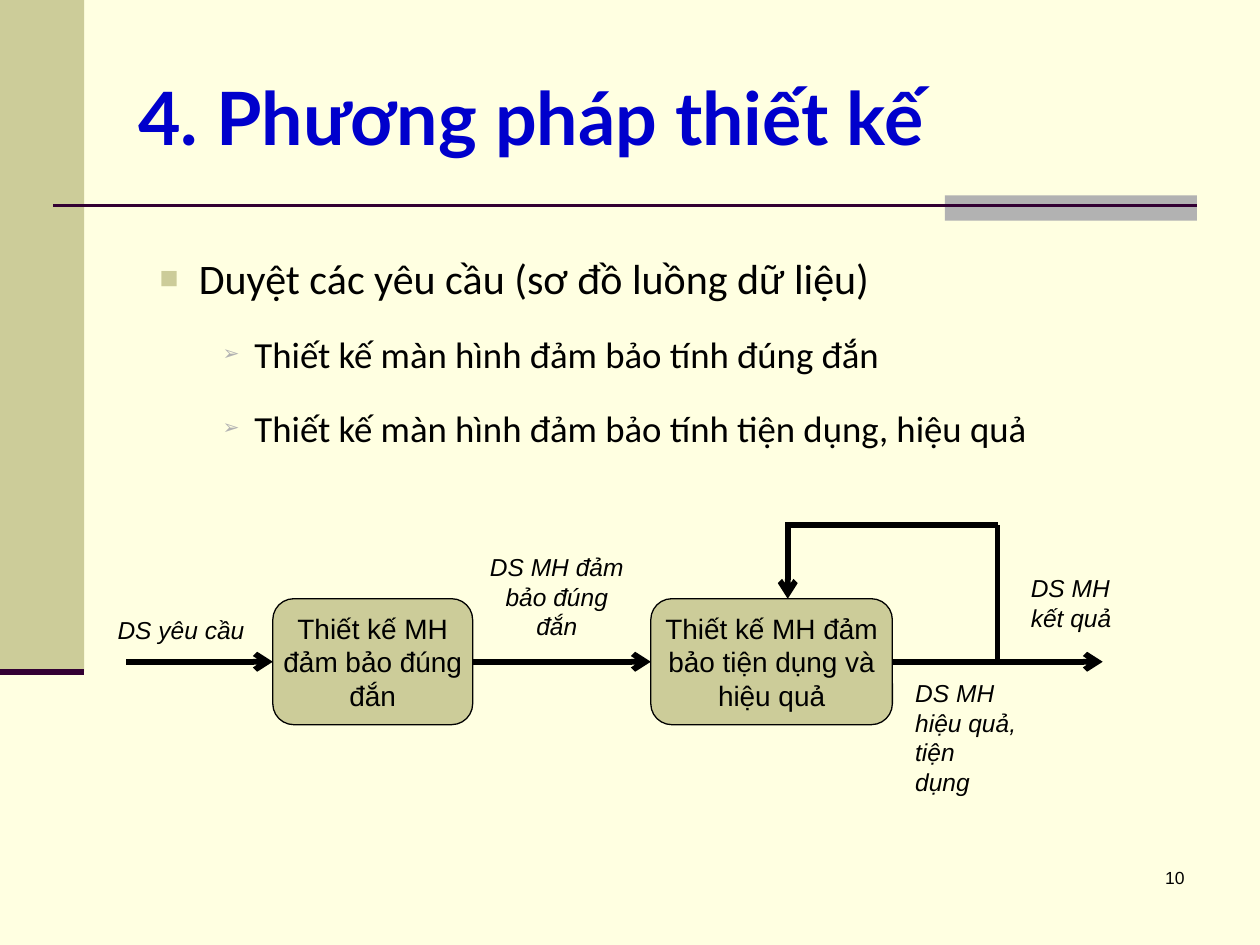
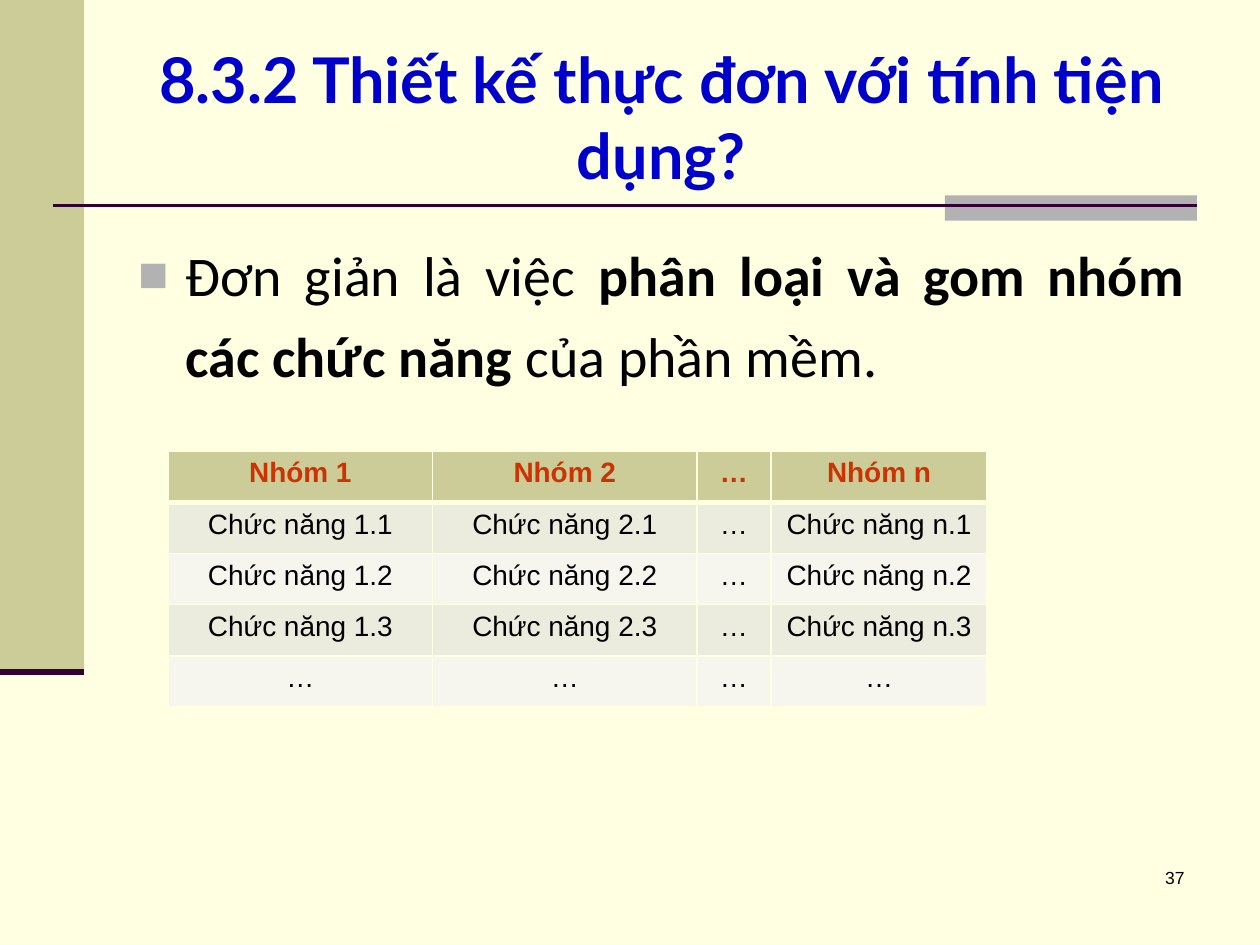
from dataclasses import dataclass, field
from typing import Any, NamedTuple

from lxml.etree import SubElement
from pptx import Presentation
from pptx.dml.color import RGBColor
from pptx.enum.shapes import MSO_CONNECTOR, MSO_SHAPE
from pptx.enum.text import MSO_ANCHOR, PP_ALIGN
from pptx.oxml.ns import qn
from pptx.util import Cm, Pt

CREAM, KHAKI, GREY, PLUM = "FFFFE1", "CCCC99", "B2B2B2", "330033"
BLACK, BLUE, RED = "000000", "0000CC", "CC3300"
BAND_FILLS = ("ECECDE", "F6F6EF")

FLOW_Y, LOOP_Y, STEP_TOP, STEP_HEIGHT = 13.34, 10.58, 12.07, 2.54
START_X, CHECK_X, CHECK_END = 2.54, 5.5, 9.53
USABLE_X, LOOP_X, USABLE_END, BRANCH_X, FINISH_X = 13.12, 15.88, 17.99, 20.11, 22.23


class Area(NamedTuple):
    """Place of an element in centimetres."""
    left: float
    top: float
    width: float
    height: float


class Route(NamedTuple):
    """Straight line between two points in centimetres."""
    x1: float
    y1: float
    x2: float
    y2: float
    arrow: bool = False
    color: str = BLACK
    weight: float = 3.25


class Bullet(NamedTuple):
    """Bullet sign with its colour, relative size and indents."""
    sign: str
    color: str
    percent: int
    margin: float
    hanging: float


@dataclass(frozen=True)
class Typeface:
    """Character format and colour."""
    name: str
    size: float
    color: str = BLACK
    bold: bool = False
    italic: bool = False

    def values(self) -> dict[str, Any]:
        """Return the font attributes."""
        return {"name": self.name, "size": Pt(self.size), "bold": self.bold, "italic": self.italic}


@dataclass(frozen=True)
class Passage:
    """Paragraph whose odd pieces are bold."""
    pieces: tuple[str, ...]
    typeface: Typeface
    layout: dict[str, Any] = field(default_factory=dict)
    bullet: Bullet | None = None


@dataclass(frozen=True)
class Step:
    """Rounded process step of the flow."""
    text: str
    area: Area


@dataclass(frozen=True)
class Label:
    """Name of a data flow."""
    text: str
    area: Area
    layout: dict[str, Any] = field(default_factory=dict)


TITLE_AREA = Area(2.54, 0.76, 21.59, 3.18)
NUMBER_AREA = Area(18.85, 17.35, 5.28, 1.27)
SIDE_BAND = Area(0, 0, 1.7, 13.54)
TITLE_TAB = Area(19.05, 3.94, 5.08, 0.51)
RULES = (
    Route(1.07, 4.14, 24.13, 4.14, color=PLUM, weight=1.5),
    Route(0, 13.54, 1.7, 13.54, color=PLUM, weight=3.5),
)
CENTERED = {"alignment": PP_ALIGN.CENTER}
RIGHT = {"alignment": PP_ALIGN.RIGHT}
NUMBER_FACE = Typeface("Arial", 10)
STEP_FACE = Typeface("Arial", 16)
HEAD_FACE = Typeface("Arial", 16, RED, bold=True)
LABEL_FACE = Typeface("Arial", 14, italic=True)

TOPIC_LAYOUT = {"alignment": PP_ALIGN.JUSTIFY, "line_spacing": 1.5}
GOAL_LAYOUT = TOPIC_LAYOUT | {"level": 1, "space_before": Cm(0.15)}
GOAL_BULLET = Bullet("➢", GREY, 55, 3.18, 0.64)
GOALS = (
    "Thiết kế màn hình đảm bảo tính đúng đắn",
    "Thiết kế màn hình đảm bảo tính tiện dụng, hiệu quả",
)
REVIEW = [
    Passage(("Duyệt các yêu cầu (sơ đồ luồng dữ liệu)",), Typeface("Calibri", 24),
            TOPIC_LAYOUT, Bullet("■", KHAKI, 75, 2.06, 0.79)),
    *(Passage((goal,), Typeface("Calibri", 21), GOAL_LAYOUT, GOAL_BULLET) for goal in GOALS),
]
GROUPING = [
    Passage(("Đơn giản là việc ", "phân loại và gom nhóm các chức năng ", "của phần mềm."),
            Typeface("Calibri", 32), TOPIC_LAYOUT | {"line_spacing": 1.2},
            Bullet("■", GREY, 90, 0.95, 0.95)),
]
STEPS = (
    Step("Thiết kế MH đảm bảo đúng đắn",
         Area(CHECK_X, STEP_TOP, CHECK_END - CHECK_X, STEP_HEIGHT)),
    Step("Thiết kế MH đảm bảo tiện dụng và hiệu quả",
         Area(USABLE_X, STEP_TOP, USABLE_END - USABLE_X, STEP_HEIGHT)),
)
FLOWS = (
    Route(START_X, FLOW_Y, CHECK_X, FLOW_Y, arrow=True),
    Route(CHECK_END, FLOW_Y, USABLE_X, FLOW_Y, arrow=True),
    Route(BRANCH_X, FLOW_Y, FINISH_X, FLOW_Y, arrow=True),
    Route(USABLE_END, FLOW_Y, BRANCH_X, FLOW_Y),
    Route(BRANCH_X, FLOW_Y, BRANCH_X, LOOP_Y),
    Route(BRANCH_X, LOOP_Y, LOOP_X - 0.06, LOOP_Y),
    Route(LOOP_X, LOOP_Y, LOOP_X, STEP_TOP, arrow=True),
)
LABELS = (
    Label("DS yêu cầu", Area(2.12, 12.28, 3.39, 0.86)),
    Label("DS MH kết quả", Area(20.53, 11.43, 2.54, 1.45)),
    Label("DS MH đảm bảo đúng đắn", Area(9.53, 11.01, 3.39, 2.06), CENTERED),
    Label("DS MH hiệu quả, tiện\vdụng", Area(18.2, 13.55, 2.56, 2.06)),
)
TABLE_AREA = Area(3.39, 9.1, 16.51, 5.15)
COLUMN_WIDTHS = (5.33, 5.33, 1.49, 4.36)
GROUPS = ("1", "2", None, "n")
FUNCTION_COUNT = 3


def rgb(color: str) -> RGBColor:
    """Turn a hex string into a colour."""
    return RGBColor.from_string(color)


def assign(target: Any, values: dict[str, Any]) -> None:
    """Set attributes from a dict of format values."""
    for name, value in values.items():
        setattr(target, name, value)


def paint(fill: Any, color: str) -> None:
    """Give a fill one solid colour."""
    fill.solid()
    fill.fore_color.rgb = rgb(color)


def add_bullet(paragraph: Any, bullet: Bullet) -> None:
    """Add a bullet and its indents to a paragraph."""
    properties = paragraph._p.get_or_add_pPr()
    properties.set("marL", str(Cm(bullet.margin)))
    properties.set("indent", str(-Cm(bullet.hanging)))
    SubElement(SubElement(properties, qn("a:buClr")), qn("a:srgbClr"), val=bullet.color)
    SubElement(properties, qn("a:buSzPct"), val=str(bullet.percent * 1000))
    SubElement(properties, qn("a:buFont"), typeface="Arial")
    SubElement(properties, qn("a:buChar"), char=bullet.sign)


def write(frame: Any, passages: list[Passage]) -> None:
    """Fill a text frame with passages."""
    for index, passage in enumerate(passages):
        paragraph = frame.add_paragraph() if index else frame.paragraphs[0]
        if passage.bullet:
            add_bullet(paragraph, passage.bullet)
        assign(paragraph, passage.layout)
        for position, piece in enumerate(passage.pieces):
            for part_index, part in enumerate(piece.split("\v")):
                if part_index:
                    paragraph.add_line_break()
                run = paragraph.add_run()
                run.text = part
                assign(run.font, passage.typeface.values())
                run.font.color.rgb = rgb(passage.typeface.color)
                if position % 2:
                    run.font.bold = True


def add_text(slide: Any, area: Area, passages: list[Passage],
             anchor: MSO_ANCHOR = MSO_ANCHOR.TOP) -> None:
    """Add a wrapped text box."""
    frame = slide.shapes.add_textbox(*map(Cm, area)).text_frame
    assign(frame, {"word_wrap": True, "vertical_anchor": anchor})
    write(frame, passages)


def add_block(slide: Any, kind: MSO_SHAPE, area: Area, color: str) -> Any:
    """Add a flat preset shape without an outline."""
    block = slide.shapes.add_shape(kind, *map(Cm, area))
    block.shadow.inherit = False
    paint(block.fill, color)
    block.line.fill.background()
    return block


def add_route(slide: Any, route: Route) -> None:
    """Draw a line with an optional arrowhead."""
    connector = slide.shapes.add_connector(MSO_CONNECTOR.STRAIGHT, *map(Cm, route[:4]))
    connector.line.width = Pt(route.weight)
    connector.line.color.rgb = rgb(route.color)
    if route.arrow:
        SubElement(connector.line._get_or_add_ln(), qn("a:tailEnd"), type="arrow")
    SubElement(connector._element.spPr, qn("a:effectLst"))


def add_step(slide: Any, step: Step) -> None:
    """Draw a process step."""
    box = add_block(slide, MSO_SHAPE.ROUNDED_RECTANGLE, step.area, KHAKI)
    paint(box.line.fill, BLACK)
    box.line.width = Pt(0.75)
    assign(box.text_frame, {"word_wrap": True, "margin_left": Cm(0.03), "margin_right": Cm(0.03)})
    write(box.text_frame, [Passage((step.text,), STEP_FACE, CENTERED)])


def add_page(deck: Any, title: str, size: float, layout: dict[str, Any], number: int) -> Any:
    """Add a slide with the shared bands, title and number."""
    slide = deck.slides.add_slide(deck.slide_layouts[6])
    paint(slide.background.fill, CREAM)
    add_block(slide, MSO_SHAPE.RECTANGLE, SIDE_BAND, KHAKI)
    add_block(slide, MSO_SHAPE.RECTANGLE, TITLE_TAB, GREY)
    for rule in RULES:
        add_route(slide, rule)
    title_face = Typeface("Lato", size, BLUE, bold=True)
    add_text(slide, TITLE_AREA, [Passage((title,), title_face, layout)], MSO_ANCHOR.MIDDLE)
    add_text(slide, NUMBER_AREA, [Passage((str(number),), NUMBER_FACE, RIGHT)])
    return slide


def border_cell(cell: Any, weights: dict[str, float]) -> None:
    """Draw the four borders of a cell."""
    for side, weight in weights.items():
        border = SubElement(cell._tc.get_or_add_tcPr(), qn(f"a:ln{side}"), w=str(Pt(weight)))
        SubElement(SubElement(border, qn("a:solidFill")), qn("a:srgbClr"), val=CREAM)


def menu_rows() -> list[list[str]]:
    """List the header, the functions and the closing row."""
    header = [f"Nhóm {group}" if group else "…" for group in GROUPS]
    functions = [[f"Chức năng {group}.{index}" if group else "…" for group in GROUPS]
                 for index in range(1, FUNCTION_COUNT + 1)]
    return [header, *functions, ["…"] * len(GROUPS)]


def add_menu_table(slide: Any) -> None:
    """Add the table of function groups."""
    rows = menu_rows()
    table = slide.shapes.add_table(len(rows), len(GROUPS), *map(Cm, TABLE_AREA)).table
    for column, width in zip(table.columns, COLUMN_WIDTHS):
        column.width = Cm(width)
    for row_index, texts in enumerate(rows):
        table.rows[row_index].height = Cm(TABLE_AREA.height / len(rows))
        header = row_index == 0
        weights = {"L": 1, "R": 1, "T": 3 if row_index == 1 else 1, "B": 3 if header else 1}
        for column_index, text in enumerate(texts):
            cell = table.cell(row_index, column_index)
            border_cell(cell, weights)
            paint(cell.fill, KHAKI if header else BAND_FILLS[(row_index - 1) % 2])
            face = HEAD_FACE if header else STEP_FACE
            write(cell.text_frame, [Passage((text,), face, CENTERED)])


def main() -> None:
    """Build both slides and save the deck."""
    deck = Presentation()
    assign(deck, {"slide_width": Cm(25.4), "slide_height": Cm(19.05)})

    method = add_page(deck, "4. Phương pháp thiết kế", 42, {}, 10)
    add_text(method, Area(1.7, 4.45, 21.79, 12.57), REVIEW)
    for step in STEPS:
        add_step(method, step)
    for flow in FLOWS:
        add_route(method, flow)
    for label in LABELS:
        add_text(method, label.area, [Passage((label.text,), LABEL_FACE, label.layout)])

    menu = add_page(deck, "8.3.2 Thiết kế thực đơn với tính tiện dụng?", 36, CENTERED, 37)
    add_text(menu, Area(2.54, 4.45, 21.59, 12.57), GROUPING)
    add_menu_table(menu)
    deck.save("out.pptx")


if __name__ == "__main__":
    main()
